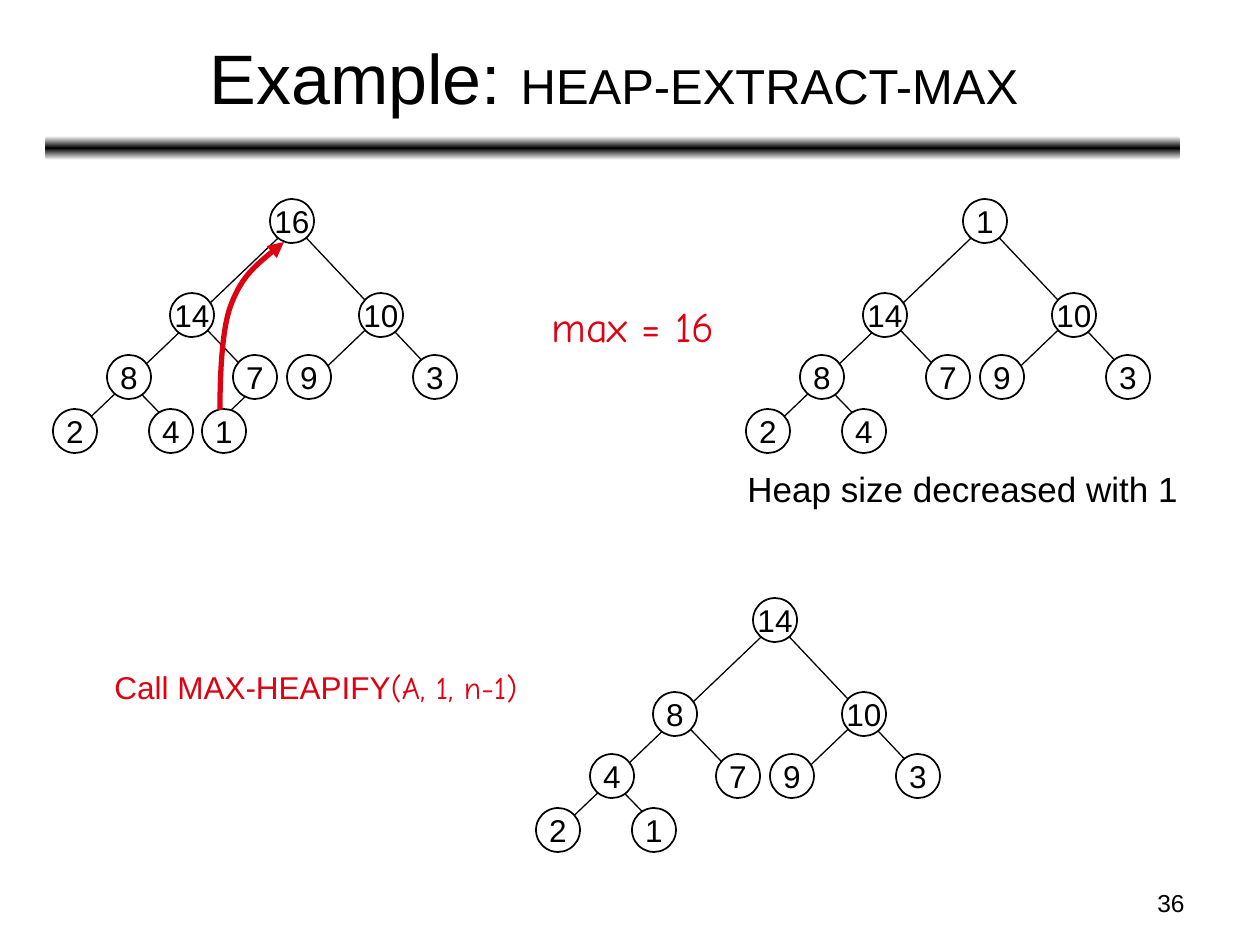
"""Build the HEAP-EXTRACT-MAX example slide with its three heap trees."""
import copy

import lxml.etree
import pptx
import pptx.dml.color
import pptx.enum.shapes
import pptx.enum.text
import pptx.oxml
import pptx.oxml.ns
import pptx.util

PIXEL = 914400 / 126
BLACK = pptx.dml.color.RGBColor(0x00, 0x00, 0x00)
WHITE = pptx.dml.color.RGBColor(0xFF, 0xFF, 0xFF)
RED = pptx.dml.color.RGBColor(0xDD, 0x01, 0x11)
ALIGN = pptx.enum.text.PP_ALIGN
SHAPE = pptx.enum.shapes.MSO_SHAPE
NODE_SIZE = 44
NODE_PLACES = [(217, 0), (117, 94), (306, 94), (54, 156), (180, 156),
               (234, 156), (360, 156), (0, 210), (96, 210), (149, 210)]
EDGES = [(258, 183, 329, 115), (130, 238, 62, 168), (204, 183, 137, 113),
         (394, 188, 227, 11), (23, 232, 243, 22), (156, 232, 213, 178)]
TREES = [
    (53, 199, [16, 14, 10, 8, 7, 9, 3, 2, 4, 1]),
    (746, 199, [1, 14, 10, 8, 7, 9, 3, 2, 4]),
    (536, 598, [14, 8, 10, 4, 7, 9, 3, 2, 1]),
]
LABELS = [
    (903, 882, 294, 44, [("36", "Arial")], 14, BLACK, ALIGN.RIGHT, True),
    (539, 294, 188, 63, [("max = 16", "Comic Neue")], 24, RED, ALIGN.LEFT, False),
    (735, 461, 456, 55, [("Heap size decreased with 1", "Arial")], 20, BLACK, ALIGN.LEFT, False),
    (102, 662, 428, 50, [("Call MAX-HEAPIFY", "Arial"), ("(A, 1, n-1)", "Comic Neue")],
     18, RED, ALIGN.LEFT, False),
]


def px(*lengths):
    return [round(length * PIXEL) for length in lengths]


def set_font(font, name, size, color):
    font.name = name
    font.size = pptx.util.Pt(size)
    font.color.rgb = color


presentation = pptx.Presentation()
presentation.slide_width, presentation.slide_height = px(1260, 945)
slide = presentation.slides.add_slide(presentation.slide_layouts[5])

title = slide.shapes.title
title.left, title.top, title.width, title.height = px(47, 14, 1134, 125)
title.text_frame.vertical_anchor = pptx.enum.text.MSO_ANCHOR.MIDDLE
paragraph = title.text_frame.paragraphs[0]
paragraph.alignment = ALIGN.CENTER
for text, size in [("Example: ", 40), ("HEAP-EXTRACT-MAX", 28)]:
    run = paragraph.add_run()
    run.text = text
    set_font(run.font, "Arial", size, BLACK)

bar = slide.shapes.add_shape(SHAPE.ROUNDED_RECTANGLE, *px(45, 136, 1135, 24))
bar.shadow.inherit = False
bar.line.fill.background()
bar.fill.gradient()
bar.fill.gradient_angle = 90
stop_list = bar.fill._fill._gradFill.find(pptx.oxml.ns.qn("a:gsLst"))
stop_list.append(copy.deepcopy(stop_list[0]))
for stop, position, color in zip(bar.fill.gradient_stops, (0, 0.5, 1), (WHITE, BLACK, WHITE)):
    stop.position = position
    stop.color.rgb = color

for left, top, values in TREES:
    tree = slide.shapes.add_group_shape()
    for x1, y1, x2, y2 in EDGES[:len(values) - 4]:
        edge = tree.shapes.add_connector(
            pptx.enum.shapes.MSO_CONNECTOR.STRAIGHT,
            *px(left + x1, top + y1, left + x2, top + y2))
        edge.line.color.rgb = BLACK
        edge.line.width = pptx.util.Pt(0.75)
        lxml.etree.SubElement(edge._element.spPr, pptx.oxml.ns.qn("a:effectLst"))
    for value, (x, y) in zip(values, NODE_PLACES):
        node = tree.shapes.add_shape(SHAPE.OVAL, *px(left + x, top + y, NODE_SIZE, NODE_SIZE))
        node.shadow.inherit = False
        node.fill.solid()
        node.fill.fore_color.rgb = WHITE
        node.line.color.rgb = BLACK
        node.line.width = pptx.util.Pt(1)
        node.text_frame.word_wrap = False
        node.text_frame.vertical_anchor = pptx.enum.text.MSO_ANCHOR.MIDDLE
        paragraph = node.text_frame.paragraphs[0]
        paragraph.text = str(value)
        paragraph.alignment = ALIGN.CENTER
        set_font(paragraph.font, "Arial", 18, BLACK)

builder = slide.shapes.build_freeform(284, 242, scale=PIXEL)
builder.add_line_segments(
    [(262, 260), (242, 276), (231, 305), (220, 333), (220, 397), (220, 410)], close=False)
arrow = builder.convert_to_shape()
arrow.shadow.inherit = False
arrow.fill.background()
arrow.line.color.rgb = RED
arrow.line.width = pptx.util.Pt(3)
segments = list(arrow._element.iter(pptx.oxml.ns.qn("a:lnTo")))
outline = segments[0].getparent()
for start in range(0, len(segments), 3):
    curve = lxml.etree.SubElement(outline, pptx.oxml.ns.qn("a:cubicBezTo"))
    for segment in segments[start:start + 3]:
        curve.append(segment[0])
        outline.remove(segment)
lxml.etree.SubElement(arrow.line._get_or_add_ln(), pptx.oxml.ns.qn("a:headEnd"), type="triangle")

for left, top, width, height, runs, size, color, alignment, wrap in LABELS:
    label = slide.shapes.add_textbox(*px(left, top, width, height))
    label.text_frame.word_wrap = wrap
    if not wrap:
        label.text_frame.auto_size = pptx.enum.text.MSO_AUTO_SIZE.SHAPE_TO_FIT_TEXT
    paragraph = label.text_frame.paragraphs[0]
    paragraph.alignment = alignment
    for text, font_name in runs:
        run = paragraph.add_run()
        run.text = text
        set_font(run.font, font_name, size, color)

presentation.save("out.pptx")
